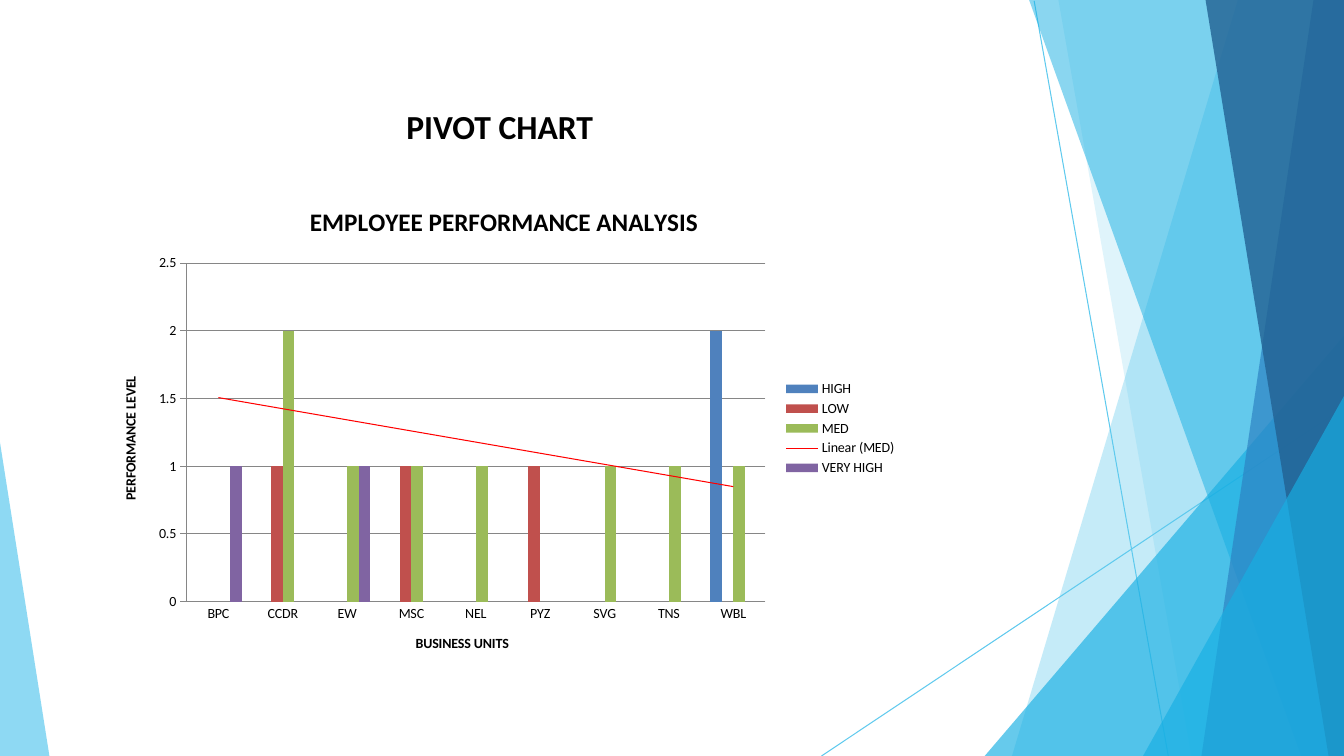
"""Build the pivot chart slide with its faceted background."""
from lxml.etree import SubElement
from pptx import Presentation
from pptx.chart.data import CategoryChartData
from pptx.dml.color import RGBColor
from pptx.enum.chart import XL_CHART_TYPE as CT, XL_LEGEND_POSITION as LP, XL_TICK_MARK as TM
from pptx.enum.shapes import MSO_CONNECTOR as MC
from pptx.enum.text import MSO_AUTO_SIZE as AS, PP_ALIGN as AL
from pptx.oxml import parse_xml
from pptx.oxml.ns import nsdecls, qn
from pptx.util import Pt

W, H = 960, 540
FONT = "Calibri"
BLACK, GREY, RED, SKY, CYAN = "000000", "868686", "FF0000", "5FCAEE", "17AFE3"
HEADING = "PIVOT CHART"
HEADING_BOX = (216, 72, 282, 36)
CHART_TITLE = "EMPLOYEE PERFORMANCE ANALYSIS"
CHART_BOX = (72, 132, 576, 348)
UNITS = ["BPC", "CCDR", "EW", "MSC", "NEL", "PYZ", "SVG", "TNS", "WBL"]
LEVELS = [
    ("HIGH", "4F81BD", {"WBL": 2}),
    ("LOW", "C0504D", {"CCDR": 1, "MSC": 1, "PYZ": 1}),
    ("MED", "9BBB59", {"CCDR": 2, "EW": 1, "MSC": 1, "NEL": 1, "SVG": 1, "TNS": 1, "WBL": 1}),
    ("VERY HIGH", "8064A2", {"BPC": 1, "EW": 1}),
]
TREND_LEVEL = "MED"
RAYS = [(738.7, 0.6, 834.5, H), (W, 290.9, 586.8, H)]
FACETS = [
    (SKY, 36, [(W, 0), (884.2, 0), (722.9, H), (W, H)]),
    (SKY, 20, [(W, 0), (756, 0), (851, H), (W, H)]),
    (CYAN, 66, [(W, 239.8), (703.4, H), (W, H)]),
    (CYAN, 50, [(W, 0), (735.1, 0), (929.5, H), (W, H)]),
    ("2D83C3", 70, [(W, 0), (938.2, 0), (858.2, H), (W, H)]),
    ("226192", 80, [(W, 0), (861.1, 0), (949, H), (W, H)]),
    (CYAN, 66, [(W, 283), (816.5, H), (W, H)]),
    (SKY, 70, [(0, 316.1), (0, H), (35.3, H)]),
]


def paint(fill, color):
    fill.solid()
    fill.fore_color.rgb = RGBColor.from_string(color)


def style(font, size, bold=False):
    font.name, font.size, font.bold = FONT, Pt(size), bold
    paint(font.fill, BLACK)


def stroke(line, color):
    paint(line.fill, color)
    line.width = Pt(0.75)


def write(tf, text, size):
    p = tf.paragraphs[0]
    p.alignment = AL.CENTER
    r = p.add_run()
    r.text = text
    style(r.font, size, True)


def add_ray(slide, ends):
    s = slide.shapes.add_connector(MC.STRAIGHT, *map(Pt, ends))
    stroke(s.line, SKY)
    SubElement(s._element.spPr, qn("a:effectLst"))


def add_facet(slide, color, opacity, corners):
    start, *rest = [(Pt(x), Pt(y)) for x, y in corners]
    builder = slide.shapes.build_freeform(*start, scale=1)
    builder.add_line_segments(rest, close=True)
    s = builder.convert_to_shape()
    s.shadow.inherit = False
    paint(s.fill, color)
    s.line.fill.background()
    clr = s._element.spPr.find(".//" + qn("a:srgbClr"))
    SubElement(clr, qn("a:alpha")).set("val", str(opacity * 1000))


def add_trend(series):
    trend = parse_xml(
        f'<c:trendline {nsdecls("c", "a")}><c:spPr><a:ln w="{Pt(0.75)}"><a:solidFill>'
        f'<a:srgbClr val="{RED}"/></a:solidFill></a:ln></c:spPr>'
        '<c:trendlineType val="linear"/><c:dispRSqr val="0"/><c:dispEq val="0"/></c:trendline>')
    series._element.find(qn("c:cat")).addprevious(trend)


def add_level_chart(slide):
    data = CategoryChartData()
    data.categories = UNITS
    for name, _, counts in LEVELS:
        data.add_series(name, [counts.get(unit) for unit in UNITS])
    chart = slide.shapes.add_chart(CT.COLUMN_CLUSTERED, *map(Pt, CHART_BOX), data).chart
    style(chart.font, 10)
    chart.has_title = True
    write(chart.chart_title.text_frame, CHART_TITLE, 18)
    chart.has_legend = True
    chart.legend.position = LP.RIGHT
    chart.legend.include_in_layout = False

    plot = chart.plots[0]
    plot.gap_width, plot.overlap, plot.vary_by_categories = 150, 0, False
    for series, (name, color, _) in zip(plot.series, LEVELS):
        paint(series.format.fill, color)
        series.invert_if_negative = False
        if name == TREND_LEVEL:
            add_trend(series)

    axes = [(chart.category_axis, "BUSINESS UNITS", TM.NONE),
            (chart.value_axis, "PERFORMANCE LEVEL", TM.OUTSIDE)]
    for axis, title, tick in axes:
        write(axis.axis_title.text_frame, title, 10)
        axis.major_tick_mark, axis.minor_tick_mark = tick, TM.NONE
        stroke(axis.format.line, GREY)
    values = chart.value_axis
    values.minimum_scale, values.maximum_scale, values.major_unit = 0, 2.5, 0.5
    values.has_major_gridlines = True
    stroke(values.major_gridlines.format.line, GREY)


def main():
    prs = Presentation()
    prs.slide_width, prs.slide_height = Pt(W), Pt(H)
    slide = prs.slides.add_slide(prs.slide_layouts[6])
    for ends in RAYS:
        add_ray(slide, ends)
    for facet in FACETS:
        add_facet(slide, *facet)
    tf = slide.shapes.add_textbox(*map(Pt, HEADING_BOX)).text_frame
    tf.word_wrap = True
    tf.auto_size = AS.SHAPE_TO_FIT_TEXT
    write(tf, HEADING, 24)
    add_level_chart(slide)
    prs.save("out.pptx")


if __name__ == "__main__":
    main()
